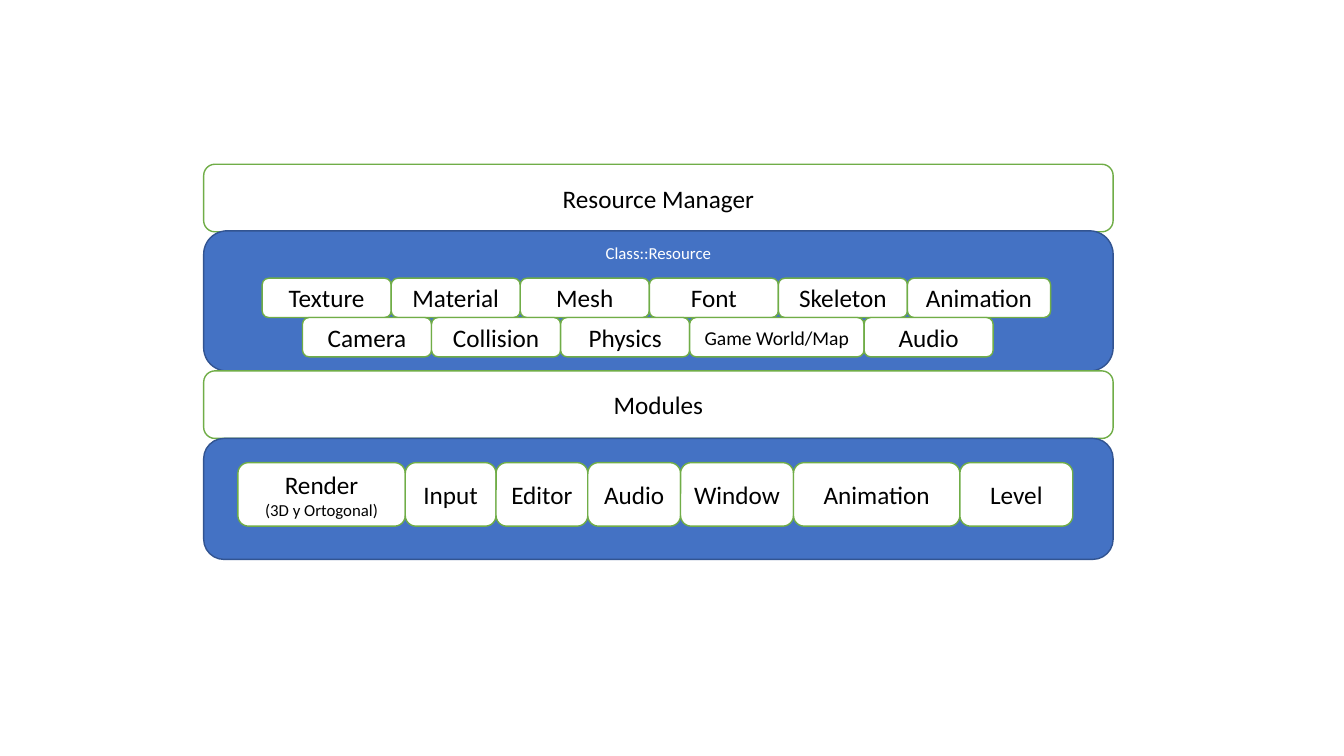
from pptx import Presentation
from pptx.dml.color import RGBColor
from pptx.enum.shapes import MSO_SHAPE as Preset
from pptx.enum.text import MSO_ANCHOR as Anchor, PP_ALIGN as Align
from pptx.util import Inches, Pt

COLORS = {
    "white": "FFFFFF",
    "black": "000000",
    "green": "70AD47",
    "blue": "4472C4",
    "navy": "325491",
}
FONT = "Calibri"
LAYER_LEFT, LAYER_WIDTH = 2.02, 9.02
HEADER_HEIGHT = 0.67


class Diagram:
    def __init__(self, slide):
        self.slide = slide

    def color(self, name):
        return RGBColor.from_string(COLORS[name])

    def box(self, left, top, width, height, fill, line):
        shape = self.slide.shapes.add_shape(
            Preset.ROUNDED_RECTANGLE,
            Inches(left), Inches(top), Inches(width), Inches(height))
        shape.shadow.inherit = False
        shape.fill.solid()
        shape.fill.fore_color.rgb = self.color(fill)
        shape.line.color.rgb = self.color(line)
        shape.line.width = Pt(1)
        return shape

    def label(self, shape, text, sizes, color, anchor=Anchor.MIDDLE):
        """Write one paragraph per line of text, each with its own size."""
        text_frame = shape.text_frame
        text_frame.text = text
        text_frame.word_wrap = True
        text_frame.vertical_anchor = anchor
        text_frame.margin_left = text_frame.margin_right = Inches(0.04)
        for paragraph, size in zip(text_frame.paragraphs, sizes):
            paragraph.alignment = Align.CENTER
            for run in paragraph.runs:
                run.font.name = FONT
                run.font.size = Pt(size)
                run.font.color.rgb = self.color(color)

    def card(self, left, top, width, height, text, sizes=(18,)):
        shape = self.box(left, top, width, height, "white", "green")
        self.label(shape, text, sizes, "black")

    def header(self, top, text):
        self.card(LAYER_LEFT, top, LAYER_WIDTH, HEADER_HEIGHT, text)

    def panel(self, top, height, title=""):
        shape = self.box(LAYER_LEFT, top, LAYER_WIDTH, height, "blue", "navy")
        if title:
            self.label(shape, title, (12,), "white", Anchor.TOP)

    def card_row(self, left, top, height, cards):
        """Place cards side by side; each is (text, width, optional sizes)."""
        for text, width, *sizes in cards:
            self.card(left, top, width, height, text, *sizes)
            left += width


presentation = Presentation()
presentation.slide_width = Inches(13.33)
presentation.slide_height = Inches(7.5)
diagram = Diagram(presentation.slides.add_slide(presentation.slide_layouts[6]))

# Resource manager and its resource classes
RESOURCE_WIDTH, RESOURCE_HEIGHT = 1.28, 0.39
first_row = [(name, RESOURCE_WIDTH) for name in
             ("Texture", "Material", "Mesh", "Font", "Skeleton")]
first_row.append(("Animation", 1.42))
second_row = [(name, RESOURCE_WIDTH) for name in
              ("Camera", "Collision", "Physics", "Audio")]
second_row.insert(3, ("Game World/Map", 1.73, (14,)))

diagram.header(1.63, "Resource Manager")
diagram.panel(2.29, 1.39, "Class::Resource")
diagram.card_row(2.6, 2.76, RESOURCE_HEIGHT, first_row)
diagram.card_row(3.0, 3.15, RESOURCE_HEIGHT, second_row)

# Modules
diagram.header(3.68, "Modules")
diagram.panel(4.35, 1.2)
diagram.card_row(2.36, 4.59, 0.63, [
    ("Render\n(3D y Ortogonal)", 1.66, (18, 12)),
    ("Input", 0.9),
    ("Editor", 0.91),
    ("Audio", 0.92),
    ("Window", 1.12),
    ("Animation", 1.65),
    ("Level", 1.12),
])

presentation.save("out.pptx")
